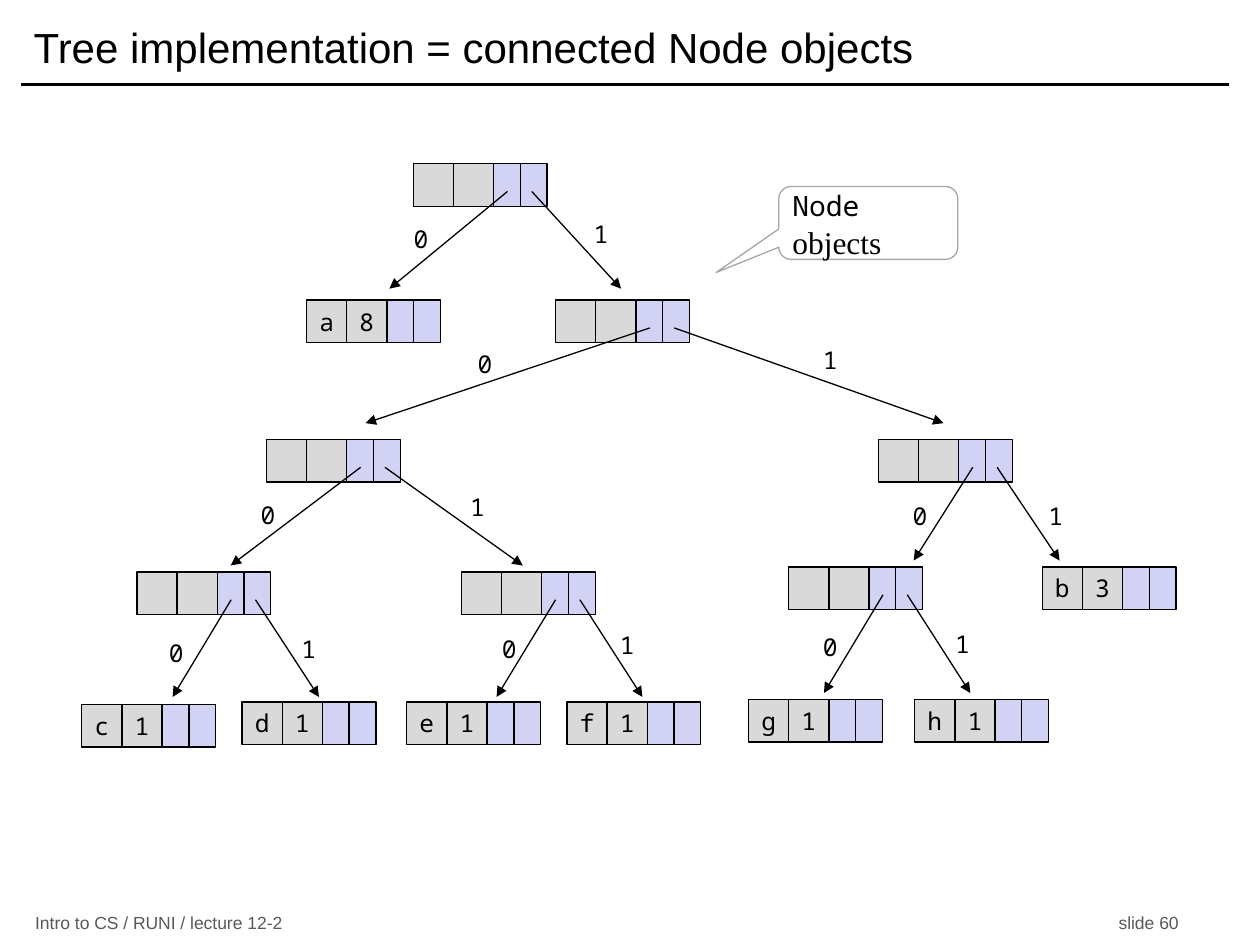
from lxml.etree import SubElement
from pptx import Presentation
from pptx.dml.color import RGBColor
from pptx.enum.shapes import MSO_CONNECTOR, MSO_SHAPE
from pptx.enum.text import MSO_ANCHOR, PP_ALIGN
from pptx.oxml.ns import qn
from pptx.util import Cm, Pt

BLACK = RGBColor(0x00, 0x00, 0x00)
WHITE = RGBColor(0xFF, 0xFF, 0xFF)
DATA_GREY = RGBColor(0xD9, 0xD9, 0xD9)
LINK_LILAC = RGBColor(0xD2, 0xD2, 0xF4)
CALLOUT_GREY = RGBColor(0xA6, 0xA6, 0xA6)
FOOTER_GREY = RGBColor(0x59, 0x59, 0x59)

SANS, MONO, SERIF = "Arial", "Noto Sans Mono", "Times New Roman"

# Node geometry in cm: two data cells, then two link cells
DATA_WIDTH, LINK_WIDTH, CELL_HEIGHT = 0.81, 0.54, 0.86
LINK_STARTS = (1.9, 2.39)
LINK_DROP = 0.56

# Leaves: left, top, symbol, count
LEAVES = [
    (6.18, 6.05, "a", "8"),
    (21.01, 11.43, "b", "3"),
    (1.65, 14.2, "c", "1"),
    (4.88, 14.15, "d", "1"),
    (8.2, 14.15, "e", "1"),
    (11.43, 14.15, "f", "1"),
    (15.09, 14.1, "g", "1"),
    (18.44, 14.1, "h", "1"),
]

# Inner nodes: left, top, tip height, then (tip x, label left, label top) for 0 and 1
INNER_NODES = [
    (8.33, 3.3, 5.82, (7.85, 8.08, 4.39), (12.52, 11.71, 4.29)),
    (11.2, 6.05, 8.53, (7.37, 9.37, 6.91), (19.02, 16.33, 6.83)),
    (5.37, 8.86, 11.4, (4.65, 5.0, 9.96), (10.54, 9.22, 9.78)),
    (17.71, 8.86, 11.3, (18.42, 18.14, 9.98), (21.36, 20.88, 9.98)),
    (2.76, 11.53, 14.05, (3.48, 3.15, 12.73), (6.43, 5.82, 12.65)),
    (9.3, 11.53, 14.05, (10.01, 9.86, 12.65), (12.95, 12.24, 12.57)),
    (15.9, 11.43, 13.97, (16.61, 16.33, 12.62), (19.56, 19.0, 12.55)),
]


class TreeSlide:
    def __init__(self, slide):
        self.slide = slide

    def style_run(self, run, font, size, color=BLACK):
        run.font.name = font
        run.font.size = Pt(size)
        run.font.color.rgb = color

    def fill_text(self, shape, text, font, size, color=BLACK, side=0.25,
                  align=PP_ALIGN.LEFT, anchor=MSO_ANCHOR.MIDDLE, wrap=True):
        frame = shape.text_frame
        frame.word_wrap = wrap
        frame.vertical_anchor = anchor
        frame.margin_left = frame.margin_right = Cm(side)
        frame.margin_top = frame.margin_bottom = Cm(0.13)
        frame.text = text
        paragraph = frame.paragraphs[0]
        paragraph.alignment = align
        self.style_run(paragraph.runs[0], font, size, color)
        return paragraph

    def text(self, left, top, width, height, text, font, size, **style):
        box = self.slide.shapes.add_textbox(Cm(left), Cm(top), Cm(width), Cm(height))
        self.fill_text(box, text, font, size, **style)

    def symbol(self, shape, text):
        self.fill_text(shape, text, MONO, 14, side=0,
                       align=PP_ALIGN.CENTER, anchor=MSO_ANCHOR.TOP)

    def label(self, left, top, text):
        box = self.slide.shapes.add_textbox(
            Cm(left), Cm(top), Cm(DATA_WIDTH), Cm(CELL_HEIGHT))
        self.symbol(box, text)

    def shape(self, kind, left, top, width, height, fill, outline=BLACK):
        shape = self.slide.shapes.add_shape(
            kind, Cm(left), Cm(top), Cm(width), Cm(height))
        shape.shadow.inherit = False
        shape.fill.solid()
        shape.fill.fore_color.rgb = fill
        shape.line.color.rgb = outline
        shape.line.width = Pt(0.75)
        return shape

    def node(self, left, top, *data):
        cells = [(DATA_WIDTH, DATA_GREY)] * 2 + [(LINK_WIDTH, LINK_LILAC)] * 2
        for index, (width, fill) in enumerate(cells):
            cell = self.shape(MSO_SHAPE.RECTANGLE, left, top, width, CELL_HEIGHT, fill)
            if index < len(data):
                self.symbol(cell, data[index])
            left += width

    def line(self, x1, y1, x2, y2, width=0.75, arrow=False):
        line = self.slide.shapes.add_connector(
            MSO_CONNECTOR.STRAIGHT, Cm(x1), Cm(y1), Cm(x2), Cm(y2))
        line.line.color.rgb = BLACK
        line.line.width = Pt(width)
        if arrow:
            SubElement(line.line._get_or_add_ln(), qn("a:tailEnd"), type="triangle")
        SubElement(line._element.spPr, qn("a:effectLst"))

    def callout(self, left, top, width, height, code, word):
        bubble = self.shape(MSO_SHAPE.ROUNDED_RECTANGULAR_CALLOUT,
                            left, top, width, height, WHITE, CALLOUT_GREY)
        for index, value in enumerate((-0.85, 0.68, 0.17)):
            bubble.adjustments[index] = value
        paragraph = self.fill_text(bubble, code, MONO, 16, side=0.2)
        bubble.text_frame.margin_right = 0
        run = paragraph.add_run()
        run.text = word
        self.style_run(run, SERIF, 18)


def main():
    presentation = Presentation()
    presentation.slide_width = Cm(25.4)
    presentation.slide_height = Cm(19.05)
    tree = TreeSlide(presentation.slides.add_slide(presentation.slide_layouts[6]))

    # Title and rule
    tree.line(0.43, 1.7, 24.77, 1.7, width=2)
    tree.text(0.43, 0.2, 24.33, 1.47,
              "Tree implementation = connected Node objects", SANS, 24)

    # Footer
    for left, width, footer in ((0.46, 8, "Intro to CS / RUNI / lecture 12-2"),
                                (22.3, 2.5, "slide 60")):
        tree.text(left, 18.36, width, 0.48, footer, SANS, 10,
                  color=FOOTER_GREY, wrap=False)

    # Leaves
    for leaf in LEAVES:
        tree.node(*leaf)

    # Inner nodes with their links
    for left, top, tip_y, *links in INNER_NODES:
        tree.node(left, top)
        for bit, (tip_x, label_left, label_top) in enumerate(links):
            tree.line(left + LINK_STARTS[bit], top + LINK_DROP, tip_x, tip_y, arrow=True)
            tree.label(label_left, label_top, str(bit))

    # Callout
    tree.callout(15.7, 3.76, 3.61, 1.47, "Node", " objects")

    presentation.save("out.pptx")


if __name__ == "__main__":
    main()
